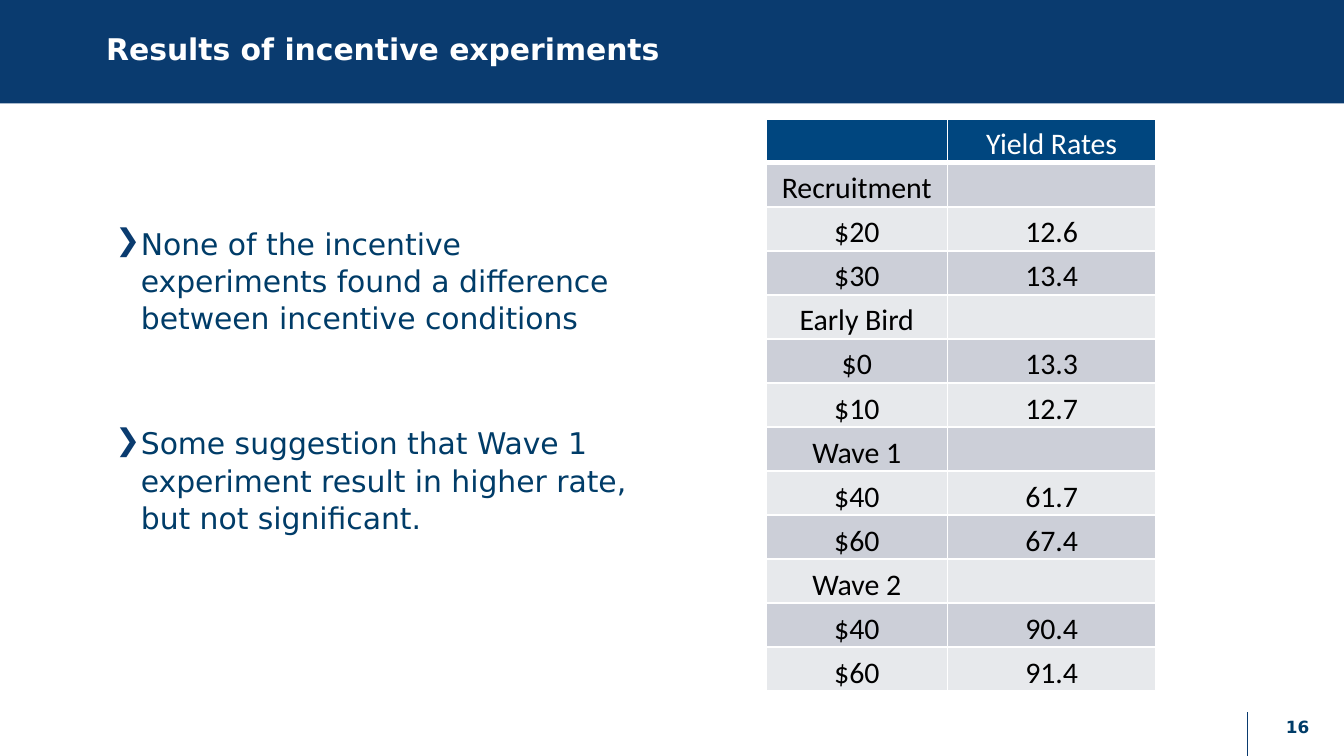
import dataclasses

import lxml.etree
import pptx
import pptx.dml.color
import pptx.enum.shapes
import pptx.enum.text
import pptx.oxml.ns
import pptx.util

Pt = pptx.util.Pt
ALIGN = pptx.enum.text.PP_ALIGN
ANCHOR = pptx.enum.text.MSO_ANCHOR
qn = pptx.oxml.ns.qn

BAR_BLUE = "0A3B6F"
TEXT_BLUE = "003C68"
HEADER_BLUE = "00467F"
WHITE = "FFFFFF"
BLACK = "000000"
BANDS = ("CCCFD8", "E7E9EC")
SANS = "DejaVu Sans"
TABLE_FONT = "Calibri"
ROW_HEIGHT = 23.6
COLUMN_WIDTHS = (97.2, 111.6)


@dataclasses.dataclass(frozen=True)
class Box:
    left: float
    top: float
    width: float
    height: float

    def lengths(self) -> tuple:
        return tuple(Pt(value) for value in dataclasses.astuple(self))


@dataclasses.dataclass(frozen=True)
class Experiment:
    name: str
    rates: tuple


BULLETS = (
    "None of the incentive experiments found a difference between incentive conditions",
    "Some suggestion that Wave 1 experiment result in higher rate, but not significant.",
)
EXPERIMENTS = (
    Experiment("Recruitment", (("$20", "12.6"), ("$30", "13.4"))),
    Experiment("Early Bird", (("$0", "13.3"), ("$10", "12.7"))),
    Experiment("Wave 1", (("$40", "61.7"), ("$60", "67.4"))),
    Experiment("Wave 2", (("$40", "90.4"), ("$60", "91.4"))),
)


def rgb(color: str):
    return pptx.dml.color.RGBColor.from_string(color)


def style_font(paragraph, size: float, name: str, color: str, bold: bool = False) -> None:
    font = paragraph.font
    font.size = Pt(size)
    font.name = name
    font.bold = bold
    font.color.rgb = rgb(color)


def add_bullet(paragraph, symbol: str, color: str) -> None:
    properties = paragraph._p.get_or_add_pPr()
    properties.set("marL", str(Pt(18.7)))
    properties.set("indent", str(Pt(-13.7)))
    bullet_color = lxml.etree.SubElement(properties, qn("a:buClr"))
    lxml.etree.SubElement(bullet_color, qn("a:srgbClr"), val=color)
    lxml.etree.SubElement(properties, qn("a:buChar"), char=symbol)


def set_borders(cell, top: float, bottom: float) -> None:
    properties = cell._tc.get_or_add_tcPr()
    widths = {"a:lnL": 1, "a:lnR": 1, "a:lnT": top, "a:lnB": bottom}
    for position, (tag, width) in enumerate(widths.items()):
        line = lxml.etree.Element(qn(tag), w=str(Pt(width)))
        fill = lxml.etree.SubElement(line, qn("a:solidFill"))
        lxml.etree.SubElement(fill, qn("a:srgbClr"), val=WHITE)
        properties.insert(position, line)


def add_title(slide, text: str) -> None:
    bar = slide.shapes.add_shape(
        pptx.enum.shapes.MSO_SHAPE.RECTANGLE, *Box(0, 0, 720, 55.4).lengths()
    )
    bar.shadow.inherit = False
    bar.fill.solid()
    bar.fill.fore_color.rgb = rgb(BAR_BLUE)
    bar.line.fill.background()
    slide.shapes._spTree.insert(2, bar._element)  # behind the title

    title = slide.shapes.title
    title.left, title.top, title.width, title.height = Box(49.7, 0, 586.8, 54.7).lengths()
    title.text_frame.text = text
    title.text_frame.vertical_anchor = ANCHOR.MIDDLE
    paragraph = title.text_frame.paragraphs[0]
    paragraph.alignment = ALIGN.LEFT
    paragraph.line_spacing = 0.9
    style_font(paragraph, 16, SANS, WHITE, bold=True)


def add_findings(slide) -> None:
    frame = slide.shapes.add_textbox(*Box(49.7, 82.8, 306, 257).lengths()).text_frame
    frame.word_wrap = True
    frame.margin_top = Pt(37.1)
    for index, text in enumerate(BULLETS):
        paragraph = frame.add_paragraph() if index else frame.paragraphs[0]
        paragraph.text = text
        paragraph.line_spacing = Pt(20)
        paragraph.space_before = Pt(47 if index else 0)
        add_bullet(paragraph, "❯", BAR_BLUE)
        style_font(paragraph, 16, SANS, TEXT_BLUE)


def add_rate_table(slide) -> None:
    rows = [("", "Yield Rates")]
    for experiment in EXPERIMENTS:
        rows += [(experiment.name, ""), *experiment.rates]
    box = Box(410.4, 63.7, sum(COLUMN_WIDTHS), ROW_HEIGHT * len(rows))
    table = slide.shapes.add_table(len(rows), len(COLUMN_WIDTHS), *box.lengths()).table
    for column, width in zip(table.columns, COLUMN_WIDTHS):
        column.width = Pt(width)
    for row_index, values in enumerate(rows):
        table.rows[row_index].height = Pt(ROW_HEIGHT)
        is_header = row_index == 0
        for column_index, value in enumerate(values):
            cell = table.cell(row_index, column_index)
            cell.text = value
            cell.fill.solid()
            fill = HEADER_BLUE if is_header else BANDS[(row_index - 1) % 2]
            cell.fill.fore_color.rgb = rgb(fill)
            cell.margin_left = cell.margin_right = cell.margin_top = Pt(0.7)
            cell.margin_bottom = 0
            cell.vertical_anchor = ANCHOR.BOTTOM
            set_borders(cell, 3 if row_index == 1 else 1, 3 if is_header else 1)
            paragraph = cell.text_frame.paragraphs[0]
            paragraph.alignment = ALIGN.CENTER
            style_font(paragraph, 16, TABLE_FONT, WHITE if is_header else BLACK)


def add_page_number(slide, number: str) -> None:
    divider = slide.shapes.add_connector(
        pptx.enum.shapes.MSO_CONNECTOR.STRAIGHT, Pt(668.2), Pt(381.6), Pt(668.2), Pt(405)
    )
    divider.line.color.rgb = rgb(BAR_BLUE)
    divider.line.width = Pt(0.75)
    lxml.etree.SubElement(divider._element.spPr, qn("a:effectLst"))

    frame = slide.shapes.add_textbox(*Box(670.3, 378.4, 49.7, 21.6).lengths()).text_frame
    frame.word_wrap = True
    frame.vertical_anchor = ANCHOR.MIDDLE
    paragraph = frame.paragraphs[0]
    paragraph.text = number
    paragraph.alignment = ALIGN.CENTER
    style_font(paragraph, 9, SANS, TEXT_BLUE, bold=True)


def main() -> None:
    presentation = pptx.Presentation()
    presentation.slide_width = Pt(720)
    presentation.slide_height = Pt(405)
    slide = presentation.slides.add_slide(presentation.slide_layouts[5])
    add_title(slide, "Results of incentive experiments")
    add_findings(slide)
    add_page_number(slide, "16")
    add_rate_table(slide)
    presentation.save("out.pptx")


if __name__ == "__main__":
    main()
